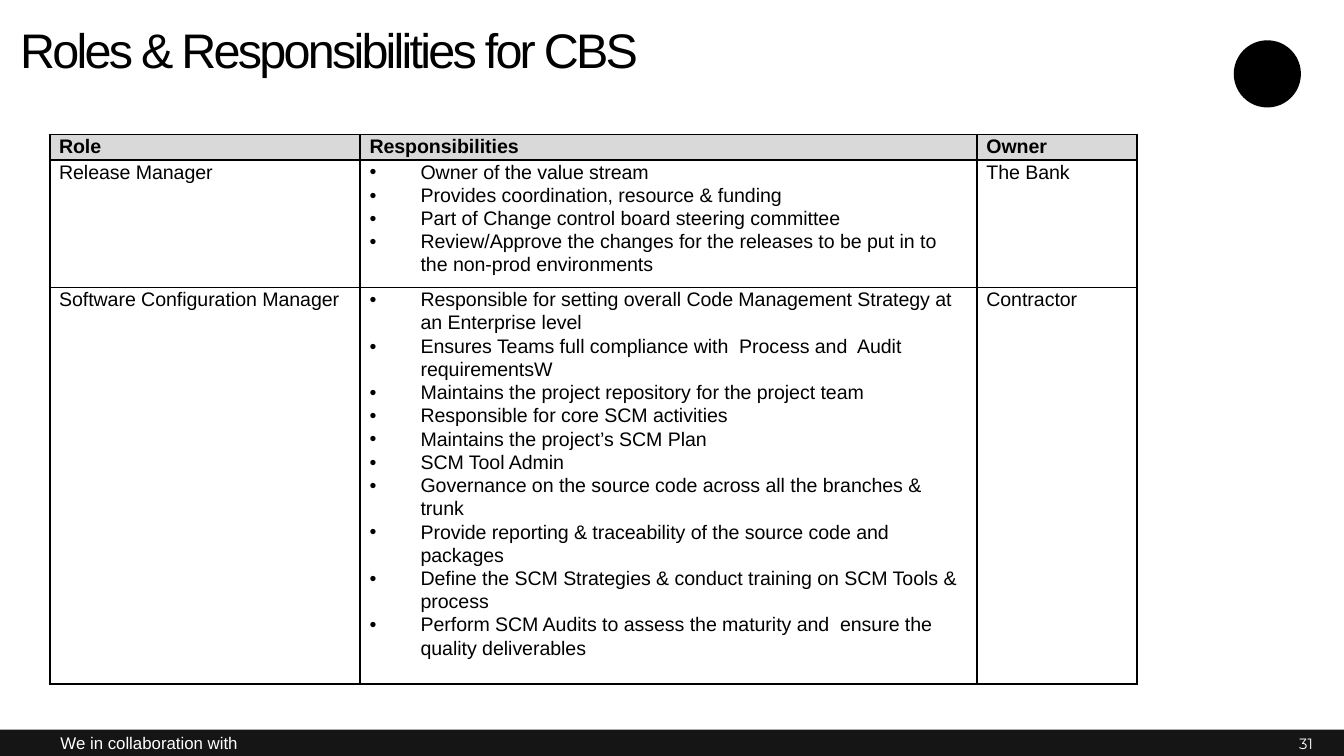
import dataclasses

import pptx
import pptx.dml.color
import pptx.enum.shapes
import pptx.enum.text
import pptx.oxml
import pptx.oxml.ns
import pptx.util

Inches = pptx.util.Inches
ALIGN = pptx.enum.text.PP_ALIGN
ANCHOR = pptx.enum.text.MSO_ANCHOR
SHAPE = pptx.enum.shapes.MSO_SHAPE


@dataclasses.dataclass(frozen=True)
class Theme:
    ink: str = "000000"
    paper: str = "FFFFFF"
    bar: str = "151515"
    header: str = "D9D9D9"
    font: str = "Arial"
    number_font: str = "Montserrat"
    title_size: float = 26
    table_size: float = 10.5
    footer_size: float = 9
    number_size: float = 8
    border: float = 1


THEME = Theme()
HEADERS = ["Role", "Responsibilities", "Owner"]
COLUMN_WIDTHS = [2.31, 4.59, 1.19]
ROW_HEIGHTS = [0.19, 0.95, 2.95]
ROLES = [
    ("Release Manager", [
        "Owner of the value stream",
        "Provides coordination, resource & funding",
        "Part of Change control board steering committee",
        "Review/Approve the changes for the releases to be put in to the non-prod environments",
    ], "The Bank"),
    ("Software Configuration Manager", [
        "Responsible for setting overall Code Management Strategy at an Enterprise level",
        "Ensures Teams full compliance with  Process and  Audit requirementsW",
        "Maintains the project repository for the project team",
        "Responsible for core SCM activities",
        "Maintains the project’s SCM Plan",
        "SCM Tool Admin",
        "Governance on the source code across all the branches & trunk",
        "Provide reporting & traceability of the source code and packages",
        "Define the SCM Strategies & conduct training on SCM Tools & process",
        "Perform SCM Audits to assess the maturity and  ensure the quality deliverables",
    ], "Contractor"),
]


def rgb(color):
    return pptx.dml.color.RGBColor.from_string(color)


def element(tag, attributes, content=""):
    return pptx.oxml.parse_xml(
        f'<a:{tag} {pptx.oxml.ns.nsdecls("a")} {attributes}>{content}</a:{tag}>')


def write(tf, text, *, size, color=THEME.ink, font=THEME.font, bold=False,
          align=ALIGN.LEFT, line_spacing=None, bullet=False, tracking=None):
    lines = [text] if isinstance(text, str) else text
    for i, line in enumerate(lines):
        p = tf.add_paragraph() if i else tf.paragraphs[0]
        p.alignment = align
        p.line_spacing = line_spacing
        if bullet:
            pPr = p._p.get_or_add_pPr()
            pPr.set("marL", str(Inches(0.38)))
            pPr.set("indent", str(-Inches(0.38)))
            pPr.append(element("buFont", f'typeface="{font}"'))
            pPr.append(element("buChar", 'char="•"'))
        r = p.add_run()
        r.text = line
        r.font.name, r.font.size = font, pptx.util.Pt(size)
        r.font.bold = bold
        r.font.color.rgb = rgb(color)
        if tracking is not None:
            r._r.get_or_add_rPr().set("spc", str(int(tracking * 100)))


class SlideBuilder:
    """Hold the theme and current slide, and add styled elements to it."""

    def __init__(self, prs, theme):
        self.theme = theme
        self.s = prs.slides.add_slide(prs.slide_layouts[5])

    def frame(self, sp, anchor):
        tf = sp.text_frame
        tf.word_wrap = True
        tf.auto_size = pptx.enum.text.MSO_AUTO_SIZE.NONE
        tf.vertical_anchor = anchor
        tf.margin_left = tf.margin_right = tf.margin_top = tf.margin_bottom = 0
        return tf

    def title(self, text, x, y, w, h):
        sp = self.s.shapes.title
        sp.left, sp.top, sp.width, sp.height = map(Inches, (x, y, w, h))
        write(self.frame(sp, ANCHOR.TOP), text, size=self.theme.title_size, tracking=-1.5)

    def text(self, text, x, y, w, h, **fmt):
        sp = self.s.shapes.add_textbox(*map(Inches, (x, y, w, h)))
        write(self.frame(sp, ANCHOR.MIDDLE), text, **fmt)

    def shape(self, kind, x, y, w, h, color):
        sp = self.s.shapes.add_shape(kind, *map(Inches, (x, y, w, h)))
        sp.shadow.inherit = False
        sp.fill.solid()
        sp.fill.fore_color.rgb = rgb(color)
        sp.line.fill.background()

    def cell(self, cell, text, fill=None, **fmt):
        cell.margin_left = cell.margin_right = Inches(0.07)
        cell.margin_top = cell.margin_bottom = 0
        tcPr = cell._tc.get_or_add_tcPr()
        for side in "LRTB":
            tcPr.append(element(
                f"ln{side}", f'w="{pptx.util.Pt(self.theme.border)}"',
                f'<a:solidFill><a:srgbClr val="{self.theme.ink}"/></a:solidFill>'))
        if fill:
            cell.fill.solid()
            cell.fill.fore_color.rgb = rgb(fill)
        else:
            cell.fill.background()
        write(cell.text_frame, text, size=self.theme.table_size, line_spacing=1.07, **fmt)

    def table(self, headers, rows, x, y, widths, heights):
        table = self.s.shapes.add_table(
            len(heights), len(widths),
            *map(Inches, (x, y, sum(widths), sum(heights)))).table
        table.horz_banding = False
        for column, width in zip(table.columns, widths):
            column.width = Inches(width)
        for row, height in zip(table.rows, heights):
            row.height = Inches(height)
        for j, text in enumerate(headers):
            self.cell(table.cell(0, j), text, fill=self.theme.header, bold=True)
        for i, row in enumerate(rows, 1):
            for j, text in enumerate(row):
                self.cell(table.cell(i, j), text, bullet=isinstance(text, list))


def main():
    prs = pptx.Presentation()
    prs.slide_width = Inches(10)
    prs.slide_height = prs.slide_width * 9 // 16
    page = SlideBuilder(prs, THEME)
    page.shape(SHAPE.RECTANGLE, 0, 5.43, 10, 0.2, THEME.bar)
    page.text("We in collaboration with", 0.45, 5.43, 6.89, 0.2,
              size=THEME.footer_size, color=THEME.paper)
    page.shape(SHAPE.OVAL, 9.18, 0.3, 0.5, 0.5, THEME.ink)
    page.title("Roles & Responsibilities for CBS", 0.15, 0.15, 8.53, 0.61)
    page.text("31", 9.16, 5.43, 0.61, 0.2, size=THEME.number_size,
              color=THEME.paper, font=THEME.number_font, align=ALIGN.RIGHT)
    page.table(HEADERS, ROLES, 0.37, 1, COLUMN_WIDTHS, ROW_HEIGHTS)
    prs.save("out.pptx")


if __name__ == "__main__":
    main()
